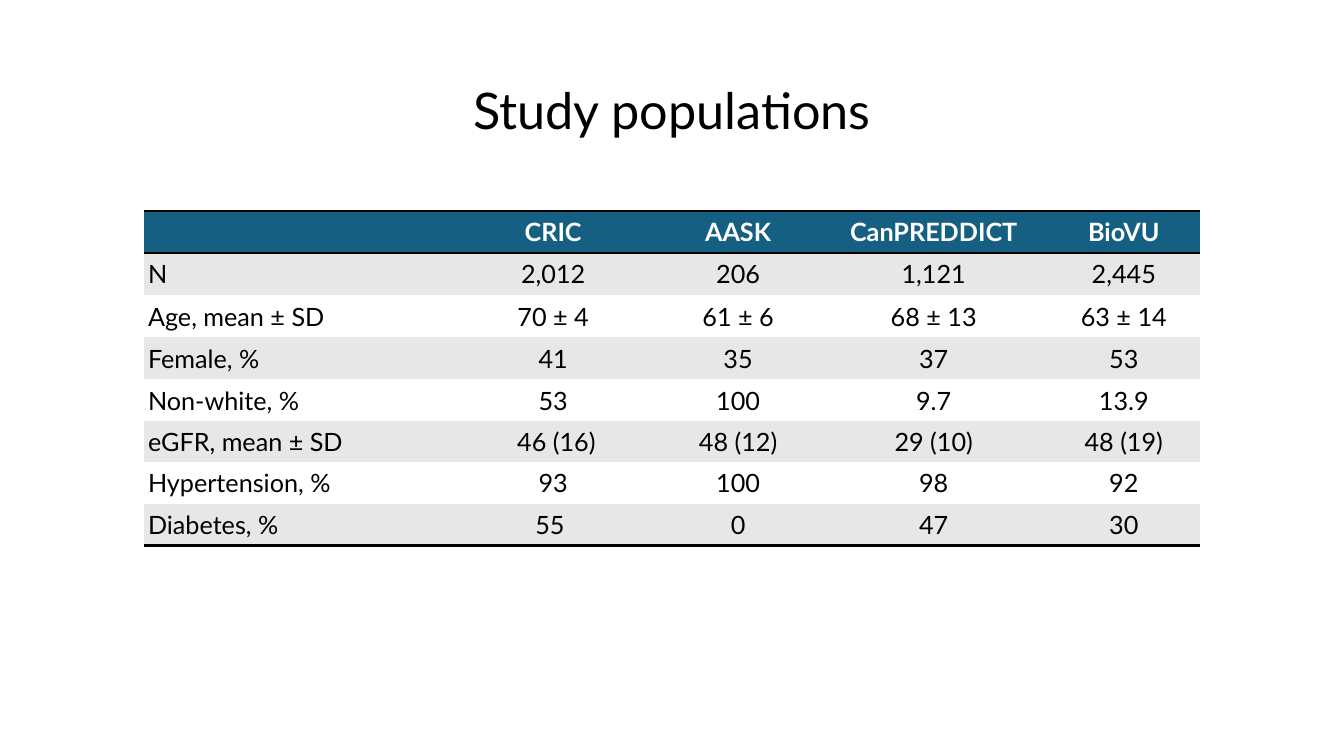
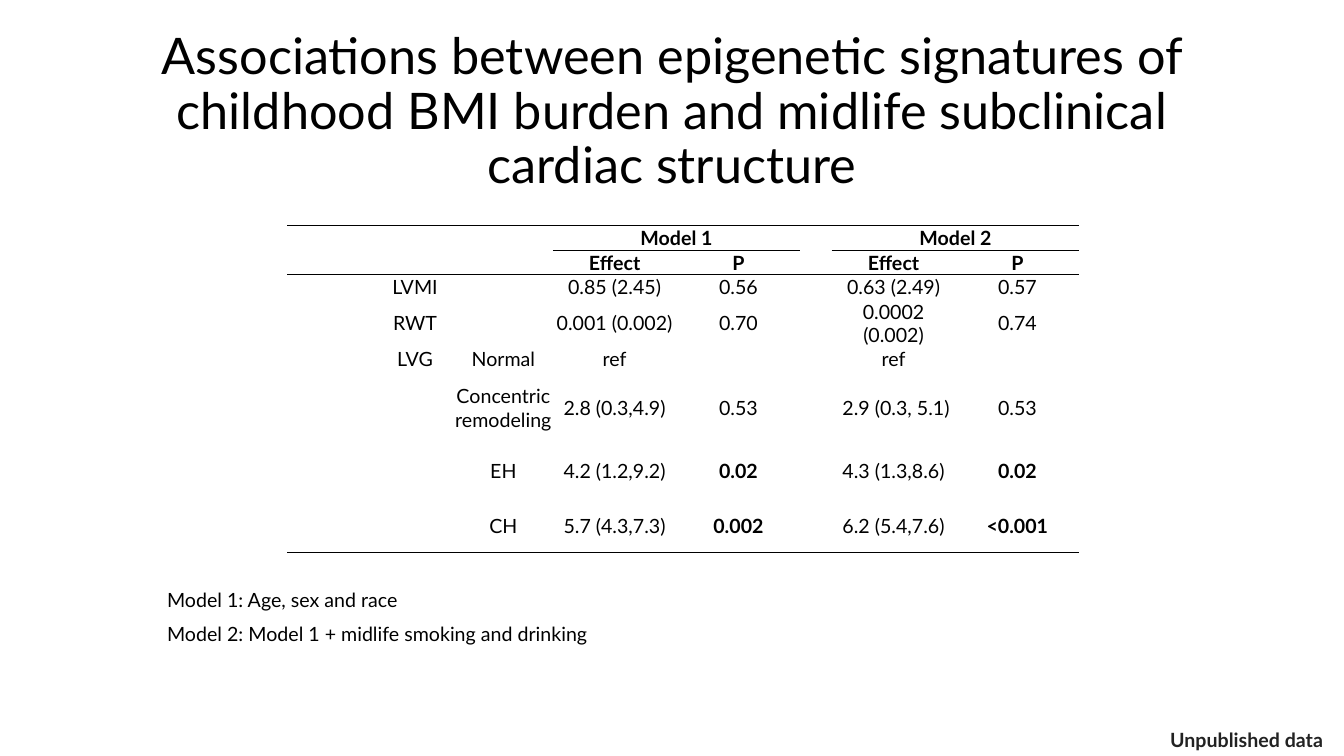
from lxml.etree import SubElement
from pptx import Presentation
from pptx.dml.color import RGBColor
from pptx.enum.text import MSO_ANCHOR as ANCHOR, PP_ALIGN as ALIGN
from pptx.oxml.ns import qn
from pptx.util import Cm, Pt

BLACK = RGBColor(0x00, 0x00, 0x00)
WHITE = RGBColor(0xFF, 0xFF, 0xFF)
CHARCOAL = RGBColor(0x22, 0x22, 0x22)
TEAL = RGBColor(0x15, 0x60, 0x82)
GRAY = RGBColor(0xE7, 0xE7, 0xE7)
FONT = "Lato"
NO_GRID_STYLE = "{2D5ABB26-0587-4C30-8999-92F81FD0307C}"

POPULATIONS = [
    ["", "CRIC", "AASK", "CanPREDDICT", "BioVU"],
    ["N", "2,012", "206", "1,121", "2,445"],
    ["Age, mean ± SD", "70 ± 4", "61 ± 6", "68 ± 13", "63 ± 14"],
    ["Female, %", "41", "35", "37", "53"],
    ["Non-white, %", "53", "100", "9.7", "13.9"],
    ["eGFR, mean ± SD", " 46 (16)", "48 (12)", "29 (10)", "48 (19)"],
    ["Hypertension, %", "93", "100", "98", "92"],
    ["Diabetes, %", "55 ", "0", "47", "30"],
]
ASSOCIATIONS = [
    ["", "", "", "Model 1", "", "", "Model 2", ""],
    ["", "", "", "Effect", "P", "", "Effect", "P"],
    ["", "LVMI", "", "0.85 (2.45)", "0.56", "", "0.63 (2.49)", "0.57"],
    ["", "RWT", "", "0.001 (0.002)", "0.70", "", "0.0002 (0.002)", "0.74"],
    ["", "LVG", "Normal", "ref", "", "", "ref", ""],
    ["", "", "Concentric remodeling", "2.8 (0.3,4.9)", "0.53", "", " 2.9 (0.3, 5.1)", "0.53"],
    ["", "", "EH", "4.2 (1.2,9.2)", "0.02", "", "4.3 (1.3,8.6)", "0.02"],
    ["", "", "CH", "5.7 (4.3,7.3)", "0.002", "", "6.2 (5.4,7.6)", "<0.001"],
]
SIGNIFICANT = {"0.02", "0.002", "<0.001"}


def set_all(obj, values):
    for name, value in values.items():
        setattr(obj, name, value)


def add_run(p, text, size, color=BLACK, bold=False):
    r = p.add_run()
    r.text = text
    set_all(r.font, {"name": FONT, "size": Pt(size), "bold": bold})
    r.font.color.rgb = color


def add_text(s, box, lines, size, color=BLACK, bold=False, anchor=ANCHOR.TOP, **layout):
    tf = s.shapes.add_textbox(*map(Cm, box)).text_frame
    set_all(tf, {"word_wrap": True, "vertical_anchor": anchor})
    for i, line in enumerate(lines):
        p = tf.add_paragraph() if i else tf.paragraphs[0]
        set_all(p, layout)
        add_run(p, line, size, color, bold)


def add_title(s, text):
    add_text(s, (2.33, 1.01, 29.21, 3.68), [text], 36, anchor=ANCHOR.MIDDLE,
             alignment=ALIGN.CENTER, line_spacing=0.9)


def add_grid(s, left, top, widths, heights):
    frame = s.shapes.add_table(len(heights), len(widths), Cm(left), Cm(top),
                               Cm(sum(widths)), Cm(sum(heights)))
    table = frame.table
    set_all(table, {"first_row": False, "horz_banding": False})
    table._tbl.tblPr.find(qn("a:tableStyleId")).text = NO_GRID_STYLE
    for col, width in zip(table.columns, widths):
        col.width = Cm(width)
    for row, height in zip(table.rows, heights):
        row.height = Cm(height)
    return table


def add_rule(table, row, cols, side, width):
    for col in cols:
        tcPr = table.cell(row, col)._tc.get_or_add_tcPr()
        ln = SubElement(tcPr, qn(f"a:ln{side}"), w=str(Pt(width)))
        fill = SubElement(ln, qn("a:solidFill"))
        SubElement(fill, qn("a:srgbClr"), val=str(BLACK))


def fill_cell(cell, text, size, color=BLACK, bold=False, fill=None,
              align=ALIGN.CENTER, indent=0.02):
    set_all(cell, {"vertical_anchor": ANCHOR.MIDDLE, "margin_left": Cm(indent),
                   "margin_right": Cm(0.02), "margin_top": Cm(0.02), "margin_bottom": 0})
    if fill is None:
        cell.fill.background()
    else:
        cell.fill.solid()
        cell.fill.fore_color.rgb = fill
    p = cell.text_frame.paragraphs[0]
    p.alignment = align
    if text:
        add_run(p, text, size, color, bold)
    else:
        SubElement(p._p, qn("a:endParaRPr"), sz=str(size * 100))


def add_populations(s):
    table = add_grid(s, 3.63, 5.31, [7.72, 5.18, 4.14, 5.72, 3.86],
                     [1.06] * 5 + [1.02] + [1.06] * 2)
    for row, side in [(0, "T"), (0, "B"), (7, "B")]:
        add_rule(table, row, range(5), side, 2)
    for i, values in enumerate(POPULATIONS):
        for j, text in enumerate(values):
            if i == 0:
                style = {"color": WHITE, "bold": True, "fill": TEAL}
            else:
                style = {"fill": GRAY if i % 2 else WHITE}
                if j == 0:
                    style.update(align=ALIGN.LEFT, indent=0.1)
            fill_cell(table.cell(i, j), text, 18, **style)


def add_associations(s):
    table = add_grid(s, 7.24, 5.69, [2.24, 1.96, 2.49, 3.12, 3.12, 0.79, 3.12, 3.12],
                     [0.61] * 5 + [1.83] + [1.37] * 2)
    every, models = range(8), [3, 4, 6, 7]
    for row, cols, side in [(0, every, "T"), (0, models, "B"), (1, models, "T"),
                            (1, every, "B"), (7, every, "B")]:
        add_rule(table, row, cols, side, 1)
    for col in (3, 6):
        table.cell(0, col).merge(table.cell(0, col + 1))
    for i, values in enumerate(ASSOCIATIONS):
        for j, text in enumerate(values):
            fill_cell(table.cell(i, j), text, 14, bold=i < 2 or text in SIGNIFICANT)


def main():
    prs = Presentation()
    set_all(prs, {"slide_width": Cm(33.87), "slide_height": Cm(19.05)})
    blank = prs.slide_layouts[6]

    s = prs.slides.add_slide(blank)
    add_populations(s)
    add_title(s, "Study populations")

    s = prs.slides.add_slide(blank)
    add_title(s, "Associations between epigenetic signatures of childhood BMI burden "
                 "and midlife subclinical cardiac structure")
    add_associations(s)
    add_text(s, (3.96, 14.68, 11.66, 1.73),
             ["Model 1: Age, sex and race", "Model 2: Model 1 + midlife smoking and drinking"],
             14, space_after=Pt(8))
    add_text(s, (29.24, 18.21, 5.49, 0.86), ["Unpublished data"], 14, CHARCOAL, True)

    prs.save("out.pptx")


if __name__ == "__main__":
    main()
